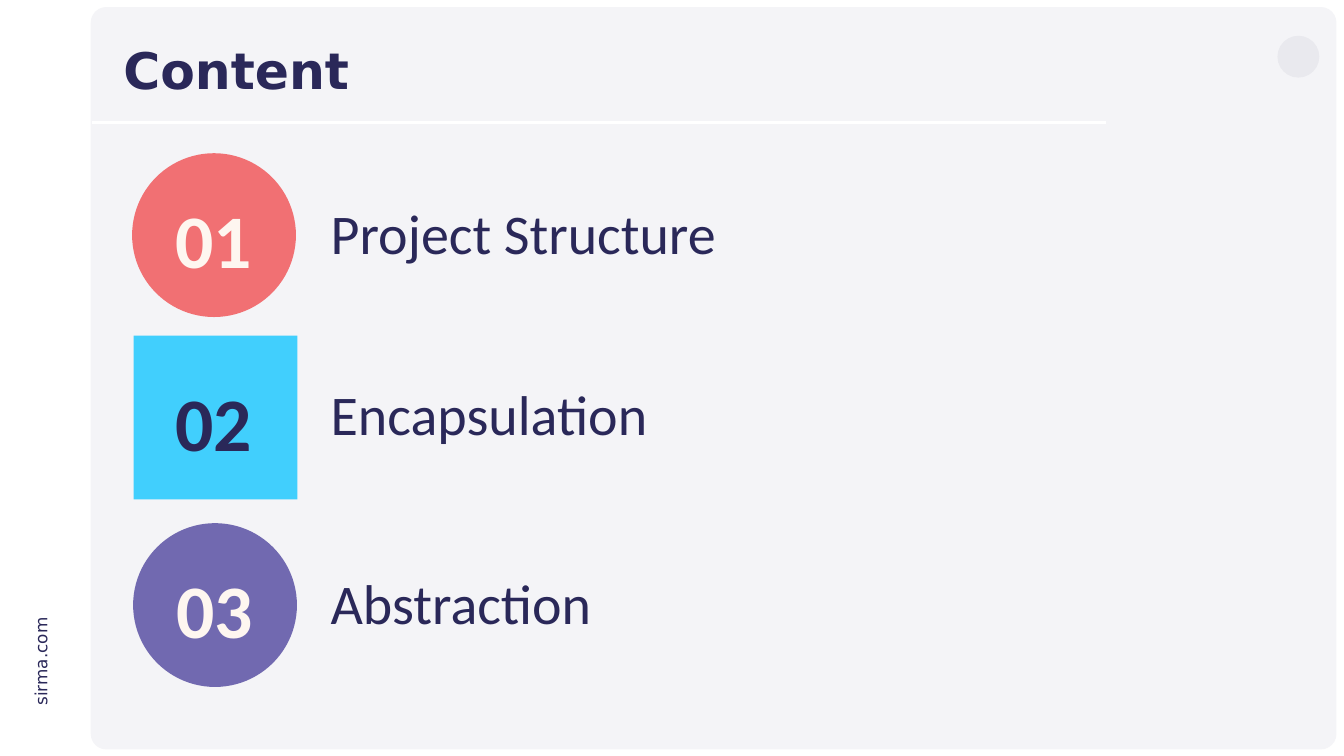
import pptx
import pptx.util
import pptx.dml.color
import pptx.enum.shapes
import pptx.enum.text
from lxml import etree

Inches = pptx.util.Inches
Pt = pptx.util.Pt
SHAPE = pptx.enum.shapes.MSO_SHAPE
ANCHOR = pptx.enum.text.MSO_ANCHOR
ALIGN = pptx.enum.text.PP_ALIGN
rgb = pptx.dml.color.RGBColor.from_string

NAVY, CREAM, PANEL, WHITE = "2A2859", "FEF6F0", "F4F4F7", "FFFFFF"


def add_shape(shapes, kind, x, y, w, h, color):
    sp = shapes.add_shape(kind, Inches(x), Inches(y), Inches(w), Inches(h))
    sp.shadow.inherit = False
    sp.fill.solid()
    sp.fill.fore_color.rgb = rgb(color)
    sp.line.fill.background()
    return sp


def add_text(shapes, text, x, y, w, h, size, font, color=NAVY, bold=False,
             anchor=ANCHOR.TOP, align=ALIGN.LEFT, wrap=True):
    sp = shapes.add_textbox(Inches(x), Inches(y), Inches(w), Inches(h))
    tf = sp.text_frame
    tf.word_wrap = wrap
    tf.vertical_anchor = anchor
    p = tf.paragraphs[0]
    p.text = text
    p.alignment = align
    p.font.size = Pt(size)
    p.font.name = font
    p.font.bold = bold
    p.font.color.rgb = rgb(color)
    return sp


prs = pptx.Presentation()
prs.slide_width = Inches(26.66)
prs.slide_height = Inches(15)
s = prs.slides.add_slide(prs.slide_layouts[6])
s.background.fill.solid()
s.background.fill.fore_color.rgb = rgb(WHITE)

panel = add_shape(s.shapes, SHAPE.ROUNDED_RECTANGLE, 1.8, 0.14, 24.71, 14.73, PANEL)
panel.adjustments[0] = 0.021
site = add_text(s.shapes, "sirma.com", -0.18, 12.86, 1.97, 0.5, 24, "DejaVu Sans", wrap=False)
site.rotation = 270
add_shape(s.shapes, SHAPE.OVAL, 25.34, 0.71, 0.83, 0.83, "E9E9EE")
add_shape(s.shapes, SHAPE.RECTANGLE, 1.83, 0.53, 18.34, 2.38, PANEL)

rule = s.shapes.add_connector(pptx.enum.shapes.MSO_CONNECTOR.STRAIGHT,
                              Inches(1.83), Inches(2.43), Inches(21.93), Inches(2.43))
rule.line.color.rgb = rgb(WHITE)
rule.line.width = Pt(3)
etree.SubElement(rule._element.spPr, pptx.oxml.ns.qn("a:effectLst"))

title = add_text(s.shapes, "Content", 2.35, 0.66, 19.57, 1.58, 72, "DejaVu Sans",
                 bold=True, anchor=ANCHOR.MIDDLE)
title.text_frame.paragraphs[0].line_spacing = 0.9

topics = [
    ("Project Structure", SHAPE.OVAL, "F17073", CREAM, 2.62, 3.04, 2.38, 3.72, 3.89, 12.35),
    ("Encapsulation", SHAPE.RECTANGLE, "41CFFD", NAVY, 2.65, 6.66, 2.38, 3.72, 7.48, 15.47),
    ("Abstraction", SHAPE.OVAL, "7169B0", CREAM, 2.64, 10.38, 2.35, 3.82, 11.23, 14.77),
]
for i, (topic, kind, fill, color, x, y, num_x, num_w, topic_y, topic_w) in enumerate(topics, 1):
    badge = s.shapes.add_group_shape()
    add_shape(badge.shapes, kind, x, y, 3.25, 3.25, fill)
    add_text(badge.shapes, f"{i:02}", num_x, y + 0.72, num_w, 1.92, 108, "Calibri", color,
             bold=True, anchor=ANCHOR.BOTTOM, align=ALIGN.CENTER)
    add_text(s.shapes, topic, 6.46, topic_y, topic_w, 1.45, 80, "Calibri")

prs.save("out.pptx")
